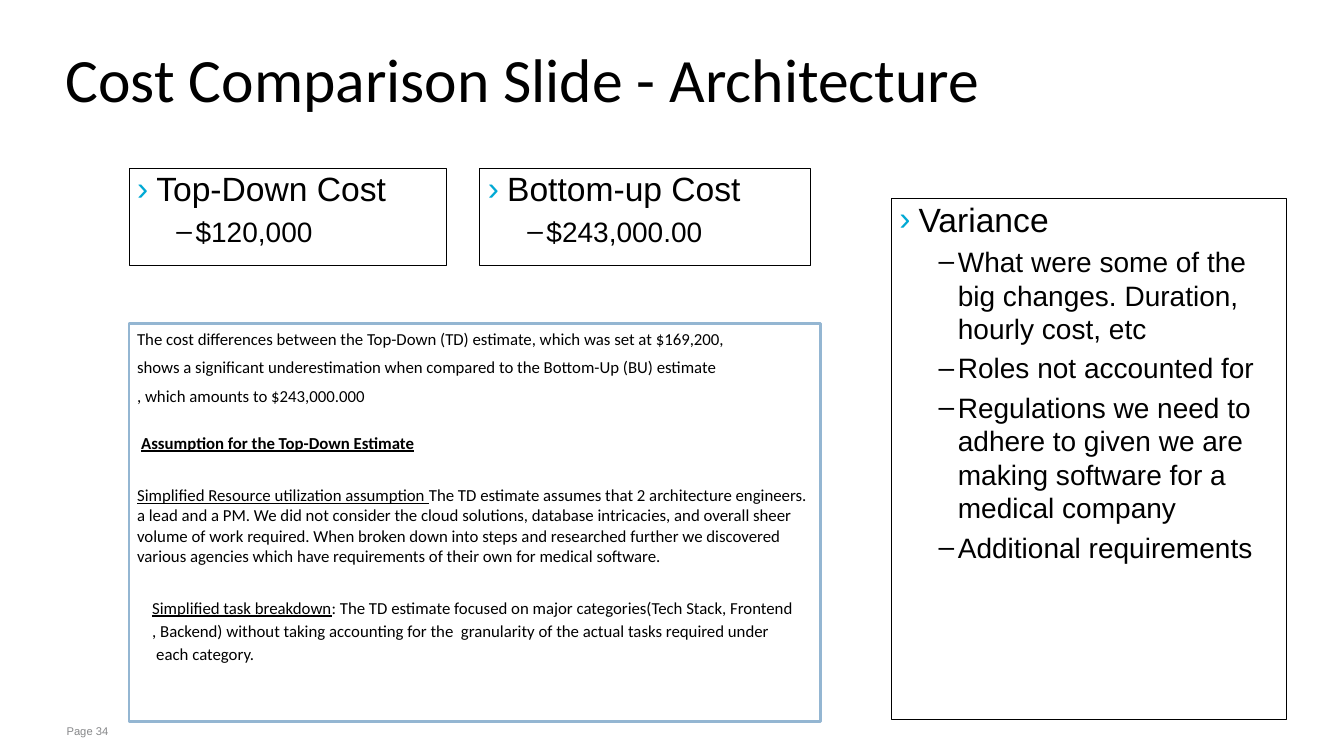
from lxml.etree import SubElement
from pptx import Presentation
from pptx.dml.color import RGBColor
from pptx.enum.shapes import MSO_SHAPE as Shape
from pptx.enum.text import MSO_ANCHOR as Anchor, PP_ALIGN as Align
from pptx.oxml.ns import qn
from pptx.util import Inches, Pt

BLACK, WHITE, CYAN, BLUE, GREY = "000000", "FFFFFF", "00A9D4", "94B6D2", "87888A"


def color(hex_value):
    return RGBColor.from_string(hex_value)


def set_frame(frame, inset_y=0, anchor=Anchor.TOP):
    frame.word_wrap = True
    frame.vertical_anchor = anchor
    frame.margin_left = frame.margin_right = Inches(0.08)
    frame.margin_top = frame.margin_bottom = Inches(inset_y)
    return frame


def add_label(slide, place, **frame_format):
    label = slide.shapes.add_textbox(*map(Inches, place))
    return set_frame(label.text_frame, **frame_format)


def add_panel(slide, place, line=BLACK, weight=0.75, fill=None, **frame_format):
    panel = slide.shapes.add_shape(Shape.RECTANGLE, *map(Inches, place))
    panel.shadow.inherit = False
    if fill:
        panel.fill.solid()
        panel.fill.fore_color.rgb = color(fill)
    else:
        panel.fill.background()
    panel.line.color.rgb = color(line)
    panel.line.width = Pt(weight)
    return set_frame(panel.text_frame, **frame_format)


def set_bullet(paragraph, char, hex_value):
    props = paragraph._p.get_or_add_pPr()
    bullet_color = SubElement(props, qn("a:buClr"))
    SubElement(bullet_color, qn("a:srgbClr"), val=hex_value)
    SubElement(props, qn("a:buFont"), typeface="Arial")
    SubElement(props, qn("a:buChar"), char=char)


def write(frame, *parts, size=12, font="Calibri", hue=BLACK, bold=False,
          before=0, spacing=None, left=0, hanging=0, bullet=None):
    """Add a paragraph; a part given as a one-item list is underlined."""
    first = frame.paragraphs[0]
    paragraph = frame.add_paragraph() if first.runs else first
    if bullet:
        set_bullet(paragraph, *bullet)
    props = paragraph._p.get_or_add_pPr()
    props.set("marL", str(Inches(left)))
    props.set("indent", str(-Inches(hanging)))
    paragraph.alignment = Align.LEFT
    paragraph.space_before = Pt(before)
    if spacing:
        paragraph.line_spacing = spacing
    for part in parts:
        underlined = isinstance(part, list)
        run = paragraph.add_run()
        run.text = part[0] if underlined else part
        run.font.size = Pt(size)
        run.font.name = font
        run.font.bold = bold
        run.font.underline = underlined
        run.font.color.rgb = color(hue)


def add_bullet_panel(slide, place, heading, items):
    panel = add_panel(slide, place)
    write(panel, heading, size=24, font="Arial", left=0.19, hanging=0.19,
          bullet=("›", CYAN))
    for item in items:
        write(panel, item, size=20, font="Arial", before=4, left=0.58,
              hanging=0.19, bullet=("–", BLACK))


def add_explanation(slide):
    panel = add_panel(slide, (1.28, 3.21, 6.86, 3.95), line=BLUE, weight=2,
                      fill=WHITE, inset_y=0.05)
    # Cost difference
    write(panel, "The cost differences between the Top-Down (TD) estimate, "
                 "which was set at $169,200,")
    write(panel, "shows a significant underestimation when compared to the "
                 "Bottom-Up (BU) estimate", before=6)
    write(panel, ", which amounts to $243,000.000", before=6)
    # Assumptions
    write(panel, ["Assumption for the Top-Down Estimate"], bold=True,
          before=17, spacing=1.15, left=0.04)
    write(panel, ["Simplified Resource utilization assumption "],
          "The TD estimate assumes that 2 architecture engineers. a lead and a PM. "
          "We did not consider the cloud solutions, database intricacies, and "
          "overall sheer volume of work required. When broken down into steps and "
          "researched further we discovered various agencies which have "
          "requirements of their own for medical software.", before=23)
    write(panel, ["Simplified task breakdown"],
          ": The TD estimate focused on major categories(Tech Stack, Frontend",
          before=20.5, spacing=1.15, left=0.15)
    write(panel, ", Backend) without taking accounting for the  granularity of the "
                 "actual tasks required under", spacing=1.15, left=0.15)
    write(panel, "each category.", spacing=1.15, left=0.19)


def main():
    deck = Presentation()
    deck.slide_width, deck.slide_height = Inches(13.33), Inches(7.5)
    slide = deck.slides.add_slide(deck.slide_layouts[6])

    # Page number and title
    page = add_label(slide, (0.58, 7.14, 10.79, 0.24), inset_y=0.05)
    write(page, "Page 34", size=8, font="Arial", hue=GREY)
    title = add_label(slide, (0.57, 0.26, 10.93, 1.19), anchor=Anchor.MIDDLE)
    write(title, "Cost Comparison Slide - Architecture", size=44, spacing=0.75)

    # Costs and variance
    add_bullet_panel(slide, (1.28, 1.67, 3.15, 0.96), "Top-Down Cost", ["$120,000"])
    add_bullet_panel(slide, (4.76, 1.67, 3.28, 0.96), "Bottom-up Cost", ["$243,000.00"])
    add_bullet_panel(slide, (8.84, 1.97, 3.92, 5.17), "Variance", [
        "What were some of the big changes. Duration, hourly cost, etc",
        "Roles not accounted for",
        "Regulations we need to adhere to given we are making software "
        "for a medical company",
        "Additional requirements",
    ])

    # Explanation of the difference
    add_explanation(slide)
    deck.save("out.pptx")


if __name__ == "__main__":
    main()
